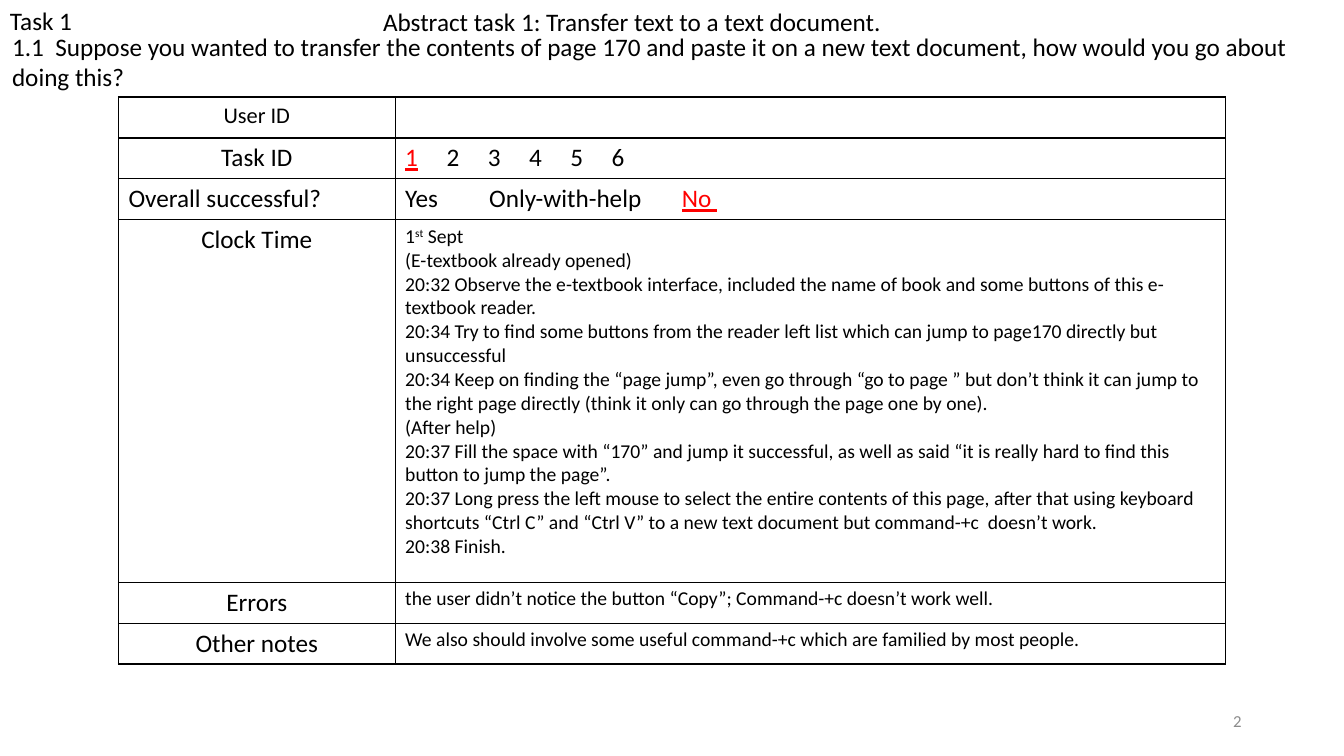
from lxml import etree
from pptx import Presentation
from pptx.dml.color import RGBColor
from pptx.enum.text import MSO_ANCHOR as Anchor, MSO_AUTO_SIZE as AutoSize, PP_ALIGN as Align
from pptx.oxml import parse_xml
from pptx.oxml.ns import nsdecls, qn
from pptx.util import Pt

BLACK, RED, GREY = "000000", "FF0000", "8C8C8C"

CLOCK_NOTES = [
    "(E-textbook already opened)",
    "20:32 Observe the e-textbook interface, included the name of book and some buttons of this e-textbook reader.",
    "20:34 Try to find some buttons from the reader left list which can jump to page170 directly but unsuccessful",
    "20:34 Keep on finding the “page jump”, even go through “go to page ” but don’t think it can jump to "
    "the right page directly (think it only can go through the page one by one).",
    "(After help)",
    "20:37 Fill the space with “170” and jump it successful, as well as said “it is really hard to find this "
    "button to jump the page”.",
    "20:37 Long press the left mouse to select the entire contents of this page, after that using keyboard "
    "shortcuts “Ctrl C” and “Ctrl V” to a new text document but command-+c  doesn’t work.",
    "20:38 Finish.",
]


def rgb(value):
    return RGBColor.from_string(value)


def add_run(p, text, size=18, color=BLACK, underline=False, baseline=None):
    r = p.add_run()
    r.text = text
    r.font.name, r.font.size = "Calibri", Pt(size)
    r.font.color.rgb = rgb(color)
    if underline:
        r.font.underline = True
    if baseline:
        r._r.get_or_add_rPr().set("baseline", str(baseline * 1000))


def set_tabs(p, stops):
    tabs = etree.SubElement(p._p.get_or_add_pPr(), qn("a:tabLst"))
    for stop in stops:
        etree.SubElement(tabs, qn("a:tab"), pos=str(Pt(stop)), algn="l")


def place(sp, box, anchor=Anchor.TOP):
    """Move a text shape to its box and return its first paragraph."""
    sp.left, sp.top, sp.width, sp.height = (Pt(v) for v in box)
    tf = sp.text_frame
    tf.word_wrap, tf.auto_size, tf.vertical_anchor = True, AutoSize.NONE, anchor
    tf.margin_left = tf.margin_right = Pt(7.2)
    tf.margin_top = tf.margin_bottom = Pt(3.6)
    p = tf.paragraphs[0]
    p.alignment, p.space_before = Align.LEFT, Pt(0)
    return p


def add_heading(s, box):
    x, y, w, h = box
    # Task label and title share the first line
    add_run(place(s.shapes.add_textbox(0, 0, 0, 0), (x, y, 70, 29)), "Task 1")
    add_run(place(s.shapes.title, (x + 266.4, y + 0.7, 427, 29)),
            "Abstract task 1: Transfer text to a text document.")
    # Question below, without a bullet
    p = place(s.placeholders[1], (x + 1.4, y + 18.7, w - 3, h - 18.7))
    pPr = p._p.get_or_add_pPr()
    pPr.set("marL", "0")
    pPr.set("indent", "0")
    etree.SubElement(pPr, qn("a:buNone"))
    add_run(p, "1.1 \u00a0Suppose you wanted to transfer the contents of page 170 and paste it on "
               "a new text document, how would you go about doing this?")


def style_cell(cell):
    cell.fill.background()
    tcPr = cell._tc.get_or_add_tcPr()
    for i, side in enumerate(("lnL", "lnR", "lnT", "lnB")):
        tcPr.insert(i, parse_xml(
            f'<a:{side} {nsdecls("a")} w="{Pt(1)}"><a:solidFill><a:srgbClr val="{BLACK}"/>'
            f'</a:solidFill></a:{side}>'))


def add_record_table(s, box):
    x, y, w, h = box
    labels = ["User ID", "Task ID", "Overall successful?", "Clock Time", "Errors", "Other notes"]
    row_h = 29.2
    table = s.shapes.add_table(len(labels), 2, Pt(x), Pt(y), Pt(w), Pt(h)).table
    table.first_row = table.horz_banding = False
    table.columns[0].width, table.columns[1].width = Pt(w / 4), Pt(w * 3 / 4)

    # Labels, with the clock row taking the spare height
    for i, label in enumerate(labels):
        table.rows[i].height = Pt(h - 5 * row_h if label == "Clock Time" else row_h)
        for cell in table.rows[i].cells:
            style_cell(cell)
        p = table.cell(i, 0).text_frame.paragraphs[0]
        p.alignment = Align.LEFT if label == "Overall successful?" else Align.CENTER
        add_run(p, label, 16 if label == "User ID" else 18)

    task, success, clock, errors, notes = (table.cell(i, 1).text_frame for i in range(1, 6))

    # Choices, the selected one in red
    p = task.paragraphs[0]
    set_tabs(p, [29.5 * i for i in range(1, 6)])
    add_run(p, "1", color=RED, underline=True)
    add_run(p, "\t2\t3\t4\t5\t6")
    p = success.paragraphs[0]
    set_tabs(p, [60, 197.6])
    add_run(p, "Yes\tOnly-with-help\t")
    add_run(p, "No ", color=RED, underline=True)

    # Observations
    p = clock.paragraphs[0]
    add_run(p, "1", 14)
    add_run(p, "st", 14, baseline=30)
    add_run(p, " Sept", 14)
    for note in CLOCK_NOTES:
        add_run(clock.add_paragraph(), note, 14)
    add_run(errors.paragraphs[0], "the user didn’t notice the button “Copy”; Command-+c doesn’t work well.", 14)
    add_run(notes.paragraphs[0],
            "We also should involve some useful command-+c which are familied by most people.", 14)


def add_slide_number(s, box):
    p = place(s.shapes.add_textbox(0, 0, 0, 0), box, Anchor.MIDDLE)
    p.alignment = Align.RIGHT
    add_run(p, "2", 12, GREY)


def main():
    prs = Presentation()
    prs.slide_width, prs.slide_height = Pt(960), Pt(540)
    s = prs.slides.add_slide(prs.slide_layouts[1])
    add_heading(s, (0, 0, 960, 69.5))
    add_record_table(s, (84.6, 69.3, 790.6, 405))
    add_slide_number(s, (678, 500.5, 216, 28.8))
    prs.save("out.pptx")


if __name__ == "__main__":
    main()
